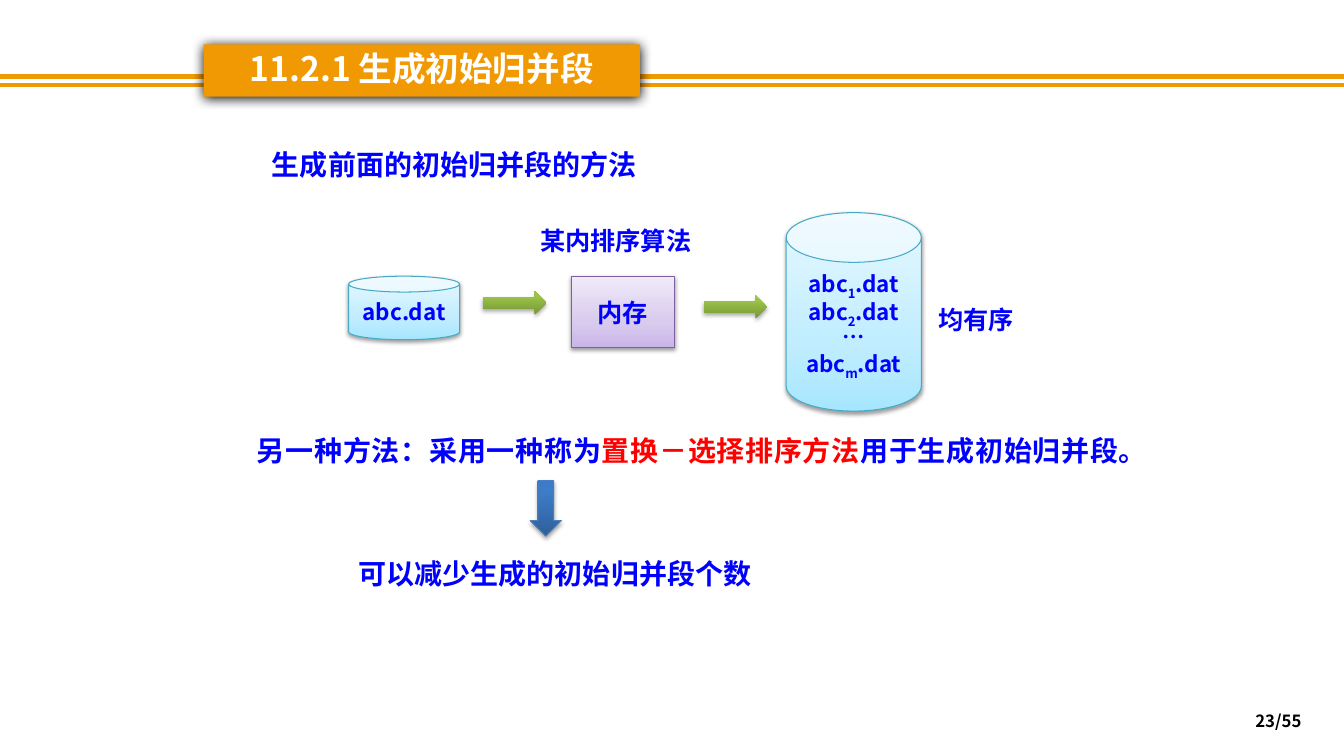
import pptx
import pptx.chart.data
import pptx.dml.color
import pptx.enum.shapes
import pptx.enum.text
import pptx.oxml
import pptx.oxml.ns
import pptx.util
from lxml import etree

Pt = pptx.util.Pt
SHAPE = pptx.enum.shapes.MSO_SHAPE
ALIGN = pptx.enum.text.PP_ALIGN
ANCHOR = pptx.enum.text.MSO_ANCHOR
qn = pptx.oxml.ns.qn

FONT = "Noto Sans CJK SC"
ORANGE, BLUE, RED, WHITE, BLACK = "F19903", "0000FF", "FF0000", "FFFFFF", "000000"

# Gradient stops run from the bottom of a shape to its top.
CAN_STYLE = {"stops": [(0, "A7E6FF"), (35, "C1EDFF"), (100, "E7F8FF")],
             "line": "46AAC5", "shadow": (38, 3.1, 1.6)}
MEMORY_STYLE = {"stops": [(0, "C9B5E8"), (35, "D8CBEE"), (100, "F0EAF9")],
                "line": "7D60A0", "shadow": (38, 3.1, 1.6)}
FLOW_STYLE = {"stops": [(0, "779737"), (80, "9BC348"), (100, "9DC746")],
              "shadow": (35, 3.1, 1.8)}
RESULT_STYLE = {"stops": [(0, "2F5F99"), (80, "3D7CC7"), (100, "3A7CCB")],
                "line": "4B7EBC", "shadow": (35, 3.1, 1.8)}
BANNER_STYLE = {"fill": ORANGE, "shadow": (100, 8.5, 1)}


def rgb(color):
    return pptx.dml.color.RGBColor.from_string(color)


def set_attributes(target, values):
    for name, value in values.items():
        setattr(target, name, value)


def add_color(parent, color):
    return etree.SubElement(parent, qn("a:srgbClr"), val=color)


def fill_gradient(shape, stops):
    shape.fill.gradient()
    shape.fill.gradient_angle = 90
    stop_list = shape.fill._xPr.find(".//" + qn("a:gsLst"))
    stop_list.clear()
    for position, color in stops:
        add_color(etree.SubElement(stop_list, qn("a:gs"), pos=str(position * 1000)), color)


def add_shadow(shape, opacity, blur, distance):
    effects = shape._element.spPr.find(qn("a:effectLst"))
    shadow = etree.SubElement(effects, qn("a:outerShdw"), blurRad=str(Pt(blur)),
                              dist=str(Pt(distance)), dir="5400000", rotWithShape="0")
    etree.SubElement(add_color(shadow, BLACK), qn("a:alpha"), val=str(opacity * 1000))


def add_styled_shape(slide, kind, box, style):
    shape = slide.shapes.add_shape(kind, *map(Pt, box))
    shape.shadow.inherit = False
    if "stops" in style:
        fill_gradient(shape, style["stops"])
    else:
        shape.fill.solid()
        shape.fill.fore_color.rgb = rgb(style["fill"])
    if "line" in style:
        shape.line.color.rgb = rgb(style["line"])
        shape.line.width = Pt(0.75)
    else:
        shape.line.fill.background()
    add_shadow(shape, *style["shadow"])
    return shape


def write(shape, paragraphs, size, color=BLUE, frame_format=None, paragraph_format=None):
    """Each paragraph is a list of (text, format) runs; format may hold color and baseline."""
    frame = shape.text_frame
    set_attributes(frame, {"word_wrap": True, **(frame_format or {})})
    for index, runs in enumerate(paragraphs):
        paragraph = frame.add_paragraph() if index else frame.paragraphs[0]
        set_attributes(paragraph, {"alignment": ALIGN.LEFT, **(paragraph_format or {})})
        for text, run_format in runs:
            run = paragraph.add_run()
            run.text = text
            set_attributes(run.font, {"size": Pt(size), "bold": True, "name": FONT})
            run.font.color.rgb = rgb(run_format.get("color", color))
            properties = run.font._element
            etree.SubElement(properties, qn("a:ea"), typeface=FONT)
            if "baseline" in run_format:
                properties.set("baseline", str(run_format["baseline"] * 1000))


def write_centered(shape, paragraphs, size, line_spacing=None):
    write(shape, paragraphs, size,
          frame_format={"word_wrap": False, "vertical_anchor": ANCHOR.MIDDLE},
          paragraph_format={"alignment": ALIGN.CENTER, "line_spacing": line_spacing})


def add_label(slide, box, runs, size, **formats):
    write(slide.shapes.add_textbox(*map(Pt, box)), [runs], size, **formats)


def add_banner(slide, left, top, width, height):
    """Double rule across the slide with the section title on it."""
    for offset in (23, 28.8):
        rule = slide.shapes.add_connector(
            pptx.enum.shapes.MSO_CONNECTOR.STRAIGHT,
            *map(Pt, (0, top + offset, 960, top + offset)))
        rule.line.color.rgb = rgb(ORANGE)
        rule.line.width = Pt(3)
        etree.SubElement(rule._element.spPr, qn("a:effectLst"))
    banner = add_styled_shape(slide, SHAPE.RECTANGLE, (left, top, width, height), BANNER_STYLE)
    write(banner, [[("11.2.1 生成初始归并段", {})]], 24, WHITE,
          {"margin_top": Pt(5.76), "margin_bottom": Pt(5.76), "vertical_anchor": ANCHOR.TOP},
          {"alignment": ALIGN.CENTER, "line_spacing": 0.9})


def add_sorting_diagram(slide, left, top, width, height):
    """Source file, memory and sorted runs, from left to right."""
    row_top = top + 45.4
    source = add_styled_shape(slide, SHAPE.CAN, (left, row_top, 79.2, 45.4), CAN_STYLE)
    source.adjustments[0] = 0.25
    write_centered(source, [[("abc.dat", {})]], 16)

    memory = add_styled_shape(slide, SHAPE.RECTANGLE,
                              (left + 159.1, row_top, 73.4, 51.1), MEMORY_STYLE)
    write_centered(memory, [[("内存", {})]], 18)

    sorted_runs = add_styled_shape(slide, SHAPE.CAN,
                                   (left + 312.5, top, 96.5, height), CAN_STYLE)
    sorted_runs.adjustments[0] = 0.368
    first, second, last = ([("abc", {}), (number, {"baseline": -25}), (".dat", {})]
                           for number in "12m")
    write_centered(sorted_runs, [first, second, [("…", {})], last], 16, 0.91)

    for x, y in ((95.8, 56.2), (253.5, 59.1)):
        add_styled_shape(slide, SHAPE.RIGHT_ARROW, (left + x, top + y, 45.4, 16.6), FLOW_STYLE)
    add_label(slide, (left + 129.6, top + 5.8, 141.8, 28.8), [("某内排序算法", {})], 18)
    add_label(slide, (left + width - 108, top + 61.9, 108, 28.8), [("均有序", {})], 18)


def add_selection_method(slide, left, top, width, height):
    """The other method, an arrow, and its benefit at the foot of the box."""
    add_label(slide, (left, top, width, 39.6),
              [("另一种方法：采用一种称为", {}), ("置换－选择排序方法", {"color": RED}),
               ("用于生成初始归并段。", {})], 20,
              paragraph_format={"alignment": ALIGN.JUSTIFY, "line_spacing": Pt(32)})
    add_styled_shape(slide, SHAPE.DOWN_ARROW, (left + 202.3, top + 45.3, 22.3, 39.6),
                     RESULT_STYLE)
    add_label(slide, (left + 72.7, top + height - 31.7, 298.1, 31.7),
              [("可以减少生成的初始归并段个数", {})], 20)


def main():
    presentation = pptx.Presentation()
    set_attributes(presentation, {"slide_width": Pt(960), "slide_height": Pt(540)})
    slide = presentation.slides.add_slide(presentation.slide_layouts[6])
    add_banner(slide, 145.4, 31.7, 311.8, 37.4)
    add_label(slide, (187.2, 101.5, 292.3, 31.7), [("生成前面的初始归并段的方法", {})], 20)
    add_sorting_diagram(slide, 249.1, 151.9, 522, 141.8)
    add_selection_method(slide, 176.4, 298.1, 630, 127.4)
    add_label(slide, (712.8, 500.4, 223.9, 28.8), [("23/55", {})], 12, color=BLACK,
              frame_format={"vertical_anchor": ANCHOR.MIDDLE},
              paragraph_format={"alignment": ALIGN.RIGHT})
    presentation.save("out.pptx")


if __name__ == "__main__":
    main()
